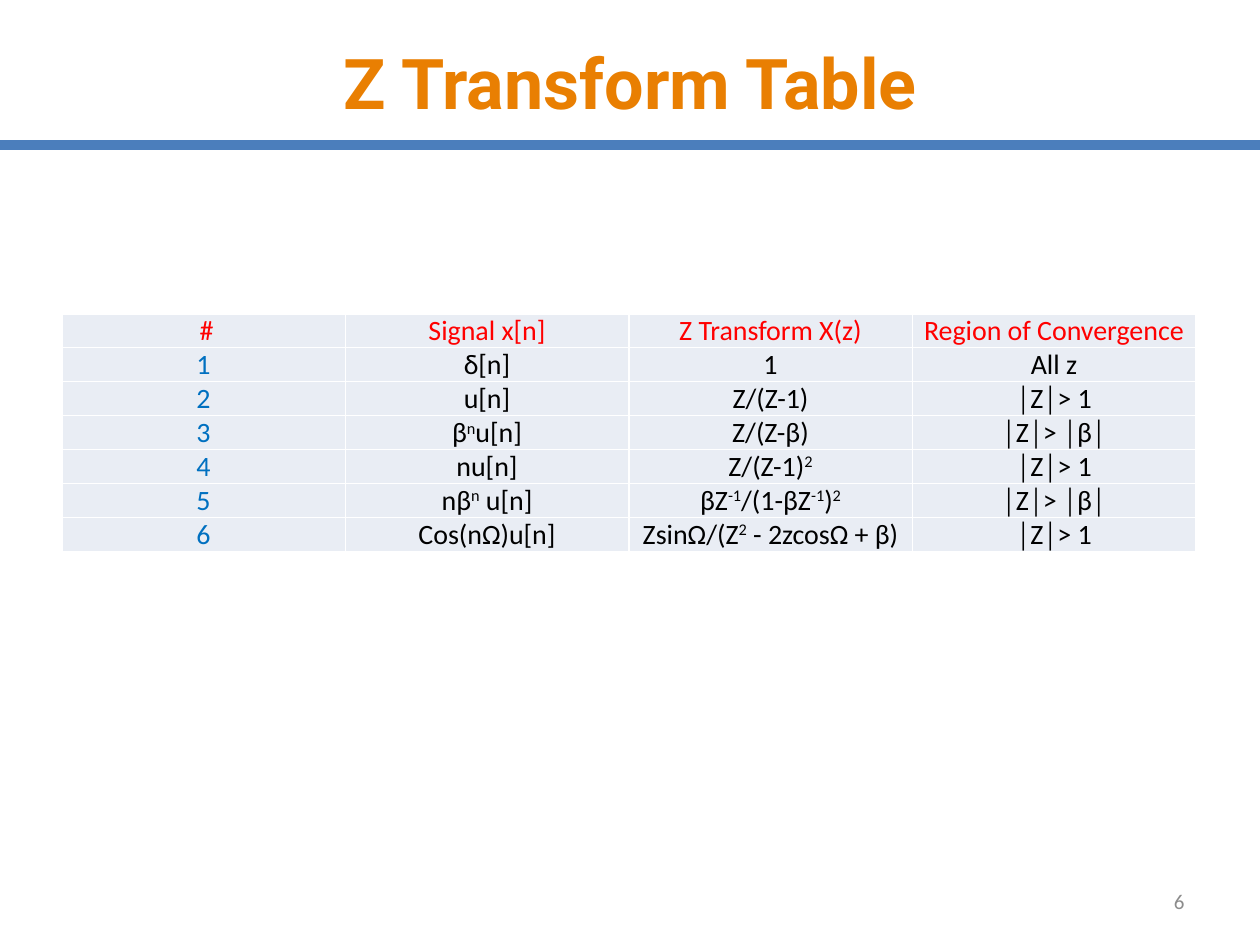
from lxml import etree
from pptx import Presentation
from pptx.dml.color import RGBColor
from pptx.enum.shapes import MSO_CONNECTOR
from pptx.enum.text import MSO_ANCHOR, PP_ALIGN
from pptx.oxml.ns import qn
from pptx.util import Inches, Pt

LINE = MSO_CONNECTOR.STRAIGHT
MIDDLE = MSO_ANCHOR.MIDDLE
CENTER, RIGHT = PP_ALIGN.CENTER, PP_ALIGN.RIGHT
TITLE_ONLY = 5

HEAD = {"name": "Roboto", "size": Pt(40), "bold": True}
BODY = {"name": "Calibri", "size": Pt(16)}
SMALL = {"name": "Calibri", "size": Pt(12)}
PAD = {"margin_left": Inches(0.07), "margin_right": Inches(0.07),
       "margin_top": 0, "margin_bottom": 0}

ROWS = [
    ["\u00a0#".replace("\u00a0", " "), "Signal x[n]", "Z Transform X(z)", "Region of Convergence"],
    ["1", "δ[n]", "1", "All z"],
    ["2", "u[n]", "Z/(Z-1)", "│Z│> 1"],
    ["3", "β^n^u[n]", "Z/(Z-β)", "│Z│> │β│"],
    ["4", "nu[n]", "Z/(Z-1)^2^", "│Z│> 1"],
    ["5", "nβ^n^ u[n]", "βZ^-1^/(1-βZ^-1^)^2^", "│Z│> │β│"],
    ["6", "Cos(nΩ)u[n]", "ZsinΩ/(Z^2^ - 2zcosΩ + β)", "│Z│> 1"],
]


def color(code):
    return RGBColor.from_string(code)


def assign(item, values):
    for key, value in values.items():
        setattr(item, key, value)


def write(frame, text, style, code, align):
    para = frame.paragraphs[0]
    para.alignment = align
    for i, part in enumerate(text.split("^")):
        if not part:
            continue
        run = para.add_run()
        run.text = part
        assign(run.font, style)
        run.font.color.rgb = color(code)
        if i % 2:
            run._r.get_or_add_rPr().set("baseline", "30000")


def border(cell, code, width):
    props = cell._tc.get_or_add_tcPr()
    for i, side in enumerate(("lnL", "lnR", "lnT", "lnB")):
        edge = etree.Element(qn("a:" + side), w=str(Pt(width)))
        fill = etree.SubElement(edge, qn("a:solidFill"))
        etree.SubElement(fill, qn("a:srgbClr"), val=code)
        props.insert(i, edge)


def add_title(slide, box, text):
    title = slide.shapes.title
    assign(title, dict(zip(("left", "top", "width", "height"), box)))
    title.text_frame.vertical_anchor = MIDDLE
    write(title.text_frame, text, HEAD, "E97F02", CENTER)


def add_rule(slide, box):
    left, top, width, height = box
    rule = slide.shapes.add_connector(LINE, left, top, left + width, top + height)
    rule.line.color.rgb = color("4B7EBC")
    rule.line.width = Pt(6)
    etree.SubElement(rule._element.spPr, qn("a:effectLst"))


def add_grid(slide, box, rows):
    table = slide.shapes.add_table(len(rows), len(rows[0]), *box).table
    for r, row in enumerate(rows):
        for c, text in enumerate(row):
            cell = table.cell(r, c)
            assign(cell, PAD)
            cell.fill.solid()
            cell.fill.fore_color.rgb = color("E9EDF4")
            border(cell, "FFFFFF", 1)
            code = "FF0000" if r == 0 else "000000" if c else "0070C0"
            write(cell.text_frame, text, BODY, code, CENTER)


def add_number(slide, box, text):
    frame = slide.shapes.add_textbox(*box).text_frame
    assign(frame, {"word_wrap": True, "vertical_anchor": MIDDLE})
    write(frame, text, SMALL, "8C8C8C", RIGHT)


def area(*sides):
    return [Inches(side) for side in sides]


def main():
    deck = Presentation()
    assign(deck, {"slide_width": Inches(10), "slide_height": Inches(7.5)})
    slide = deck.slides.add_slide(deck.slide_layouts[TITLE_ONLY])
    add_rule(slide, area(0, 1.15, 10, 0))
    add_title(slide, area(0.5, 0.21, 9, 0.87), "Z Transform Table")
    add_number(slide, area(9.09, 6.95, 0.41, 0.4), "6")
    add_grid(slide, area(0.49, 2.49, 9, 1.89), ROWS)
    deck.save("out.pptx")


if __name__ == "__main__":
    main()
